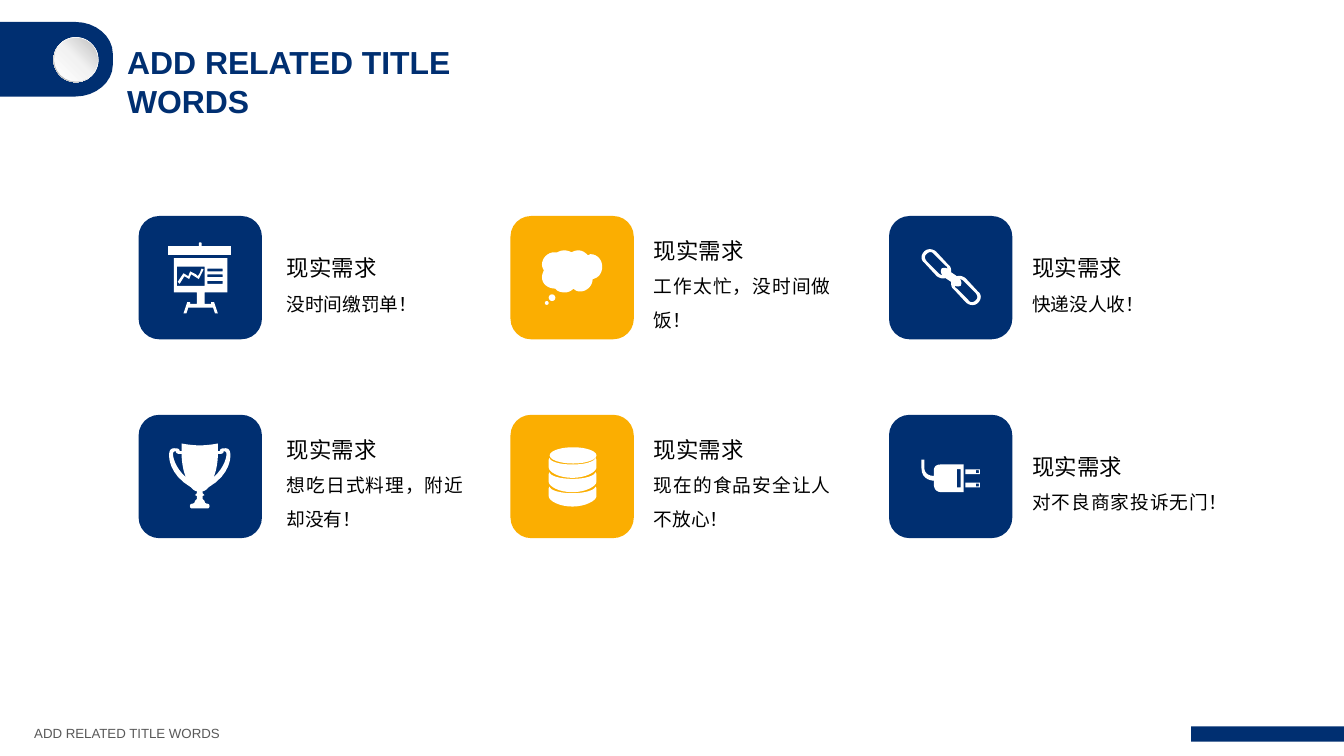
"""Build a slide with six everyday needs, each shown by an icon tile and a short text."""
from copy import deepcopy
from dataclasses import dataclass

from pptx import Presentation
from pptx import util as u
from pptx.dml.color import RGBColor
from pptx.enum import shapes, text
from pptx.oxml.ns import qn


@dataclass(frozen=True)
class Theme:
    navy: str = "002F71"
    amber: str = "FBAE01"
    white: str = "FFFFFF"
    black: str = "000000"
    grey: str = "595959"
    ring: tuple = ((0, "FFFFFF"), (0.55, "F2F2F2"), (1, "A6A6A6"))
    ball: tuple = ((0, "FFFFFF"), (0.51, "F2F2F2"), (1, "BFBFBF"))
    font: str = "Arial"
    title: float = 24
    heading: float = 16.9
    body: float = 14.1
    footer: float = 10


def sampled(outline, steps=8):
    points = []
    for item in outline:
        if len(item) == 2:
            points.append(item)
            continue
        x0, y0 = points[-1]
        x1, y1, x2, y2, x3, y3 = item
        for step in range(1, steps + 1):
            t = step / steps
            s = 1 - t
            weights = s ** 3, 3 * s * s * t, 3 * s * t * t, t ** 3
            points.append((sum(w * x for w, x in zip(weights, (x0, x1, x2, x3))),
                           sum(w * y for w, y in zip(weights, (y0, y1, y2, y3)))))
    return points


def mirrored(outline, axis):
    return [(2 * axis - x, y) for x, y in reversed(sampled(outline))]


def turned(outline, x0, y0):
    return [(2 * x0 - x, 2 * y0 - y) for x, y in sampled(outline)]


def shifted(outline, dy):
    return [(x, y + dy) for x, y in sampled(outline)]


def box(left, top, right, bottom):
    return [(left, top), (right, top), (right, bottom), (left, bottom)]


class SlideBuilder:
    def __init__(self, slide, theme):
        self.slide = slide
        self.theme = theme

    def paint(self, shape, color):
        shape.shadow.inherit = False
        shape.line.fill.background()
        if isinstance(color, str):
            shape.fill.solid()
            shape.fill.fore_color.rgb = RGBColor.from_string(color)
        return shape

    def preset(self, kind, left, top, width, height, color):
        shape = self.slide.shapes.add_shape(kind, *map(u.Inches, (left, top, width, height)))
        return self.paint(shape, color)

    def gradient(self, kind, left, top, size, stops, angle):
        shape = self.preset(kind, left, top, size, size, stops)
        shape.fill.gradient()
        shape.fill.gradient_angle = angle
        stop_list = shape._element.spPr.find(".//" + qn("a:gsLst"))
        stop_list.append(deepcopy(stop_list[0]))
        for stop, (position, color) in zip(shape.fill.gradient_stops, stops):
            stop.position = position
            stop.color.rgb = RGBColor.from_string(color)
        return shape

    def outline(self, color, *contours):
        builder = None
        for contour in contours:
            points = [(u.Inches(x), u.Inches(y)) for x, y in sampled(contour)]
            if builder is None:
                builder = self.slide.shapes.build_freeform(*points[0])
            else:
                builder.move_to(*points[0])
            builder.add_line_segments(points[1:], close=True)
        return self.paint(builder.convert_to_shape(), color)

    def run(self, paragraph, words, size, color, bold=False):
        run = paragraph.add_run()
        run.text = words
        run.font.name = self.theme.font
        run.font.size = u.Pt(size)
        run.font.bold = bold
        run.font.color.rgb = RGBColor.from_string(color)

    def title(self, words, left, top, width, height):
        shape = self.slide.shapes.title
        shape.left, shape.top, shape.width, shape.height = map(u.Inches, (left, top, width, height))
        frame = shape.text_frame
        frame.word_wrap = True
        frame.auto_size = text.MSO_AUTO_SIZE.NONE
        frame.vertical_anchor = text.MSO_ANCHOR.TOP
        frame.paragraphs[0].alignment = text.PP_ALIGN.LEFT
        self.run(frame.paragraphs[0], words, self.theme.title, self.theme.navy, True)

    def text_frame(self, left, top, width, height, wrap):
        shape = self.slide.shapes.add_textbox(*map(u.Inches, (left, top, width, height)))
        frame = shape.text_frame
        frame.word_wrap = wrap
        frame.auto_size = text.MSO_AUTO_SIZE.SHAPE_TO_FIT_TEXT
        return frame

    def need(self, words, left, top, height):
        frame = self.text_frame(left, top, 1.99, height, True)
        frame.margin_left = frame.margin_right = u.Inches(0.07)
        frame.margin_top = frame.margin_bottom = u.Inches(0.04)
        heading, body = frame.paragraphs[0], frame.add_paragraph()
        heading.line_spacing = body.line_spacing = 1.5
        body.alignment = text.PP_ALIGN.JUSTIFY
        self.run(heading, "现实需求", self.theme.heading, self.theme.black)
        self.run(body, words, self.theme.body, self.theme.black)

    def footer(self, words):
        frame = self.text_frame(0.26, 7.54, 2.19, 0.27, False)
        self.run(frame.paragraphs[0], words, self.theme.footer, self.theme.grey)


def draw_icons(page):
    white, oval = page.theme.white, shapes.MSO_SHAPE.OVAL

    page.outline(white, box(1.76, 2.57, 2.42, 2.67))
    page.outline(white, [(2.08, 2.58), (2.08, 2.55), (2.08, 2.53, 2.11, 2.53, 2.11, 2.55), (2.11, 2.58)])
    stand = [(2.1, 2.7), (1.82, 2.7), (1.82, 3.06), (2.06, 3.06), (2.06, 3.18), (1.99, 3.18),
             (1.99, 3.16), (1.96, 3.16), (1.92, 3.28), (1.95, 3.28), (1.97, 3.22), (2.1, 3.22)]
    rows = [box(2.17, top, 2.33, top + 0.03) for top in (2.81, 2.87, 2.94)]
    page.outline(white, stand + mirrored(stand, 2.1), box(1.85, 2.79, 2.14, 2.99), *rows)
    page.outline(white, [(2.09, 2.86), (2.07, 2.89), (2.05, 2.87), (1.99, 2.84), (1.97, 2.89),
                         (1.92, 2.86), (1.86, 2.95), (1.88, 2.97), (1.93, 2.89), (1.98, 2.92),
                         (2, 2.87), (2.08, 2.92), (2.13, 2.82), (2.11, 2.81)])

    page.preset(oval, 5.74, 3.08, 0.07, 0.07, white)
    page.preset(oval, 5.7, 3.15, 0.04, 0.04, white)
    page.outline(white, [
        (6.3, 2.79), (6.3, 2.72, 6.25, 2.66, 6.18, 2.66), (6.17, 2.66, 6.16, 2.67, 6.15, 2.67),
        (6.12, 2.64, 6.09, 2.62, 6.05, 2.62), (6.02, 2.62, 6, 2.63, 5.98, 2.64),
        (5.96, 2.63, 5.93, 2.62, 5.91, 2.62), (5.87, 2.62, 5.85, 2.63, 5.83, 2.64),
        (5.82, 2.64, 5.81, 2.64, 5.8, 2.64), (5.73, 2.64, 5.67, 2.7, 5.67, 2.77),
        (5.67, 2.79, 5.68, 2.81, 5.69, 2.83), (5.68, 2.85, 5.67, 2.88, 5.67, 2.9),
        (5.67, 2.97, 5.73, 3.02, 5.81, 3.02), (5.83, 3.05, 5.87, 3.06, 5.91, 3.06),
        (5.94, 3.06, 5.97, 3.05, 6, 3.02), (6.02, 3.04, 6.04, 3.05, 6.07, 3.05),
        (6.14, 3.05, 6.2, 2.99, 6.2, 2.92), (6.26, 2.91, 6.3, 2.86, 6.3, 2.79)])

    link = [(9.95, 2.85), (9.95, 2.82, 9.95, 2.79, 9.92, 2.77), (9.79, 2.63),
            (9.75, 2.6, 9.7, 2.6, 9.67, 2.63), (9.63, 2.67, 9.63, 2.72, 9.67, 2.75),
            (9.8, 2.89), (9.83, 2.91, 9.86, 2.92, 9.89, 2.91)]
    gap = [(9.82, 2.86), (9.7, 2.74), (9.67, 2.71, 9.67, 2.68, 9.69, 2.66),
           (9.72, 2.63, 9.75, 2.63, 9.77, 2.66), (9.89, 2.78), (9.91, 2.79, 9.91, 2.8, 9.91, 2.81),
           (9.89, 2.8, 9.87, 2.8, 9.85, 2.81), (9.84, 2.83, 9.84, 2.86, 9.86, 2.88),
           (9.85, 2.88, 9.83, 2.87, 9.82, 2.86)]
    center = 9.95, 2.9
    page.outline(white, sampled(link) + turned(link, *center), gap, turned(gap, *center))

    cup = [(2.09, 4.66), (2, 4.66, 1.9, 4.64, 1.9, 4.64), (1.9, 4.72), (1.88, 4.72),
           (1.88, 4.69, 1.85, 4.69, 1.82, 4.69), (1.77, 4.69, 1.77, 4.74, 1.77, 4.77),
           (1.77, 4.77, 1.76, 4.96, 2, 5.1), (2, 5.1, 2.03, 5.14, 2.06, 5.14), (2.06, 5.16),
           (2.04, 5.18), (2.06, 5.19), (2.06, 5.22), (2.04, 5.24), (2.04, 5.27, 2.01, 5.27, 2.01, 5.27),
           (1.98, 5.27, 1.98, 5.32, 2.01, 5.32), (2.09, 5.32)]
    handle = [(1.95, 5), (1.82, 4.88, 1.81, 4.77, 1.81, 4.75), (1.81, 4.72, 1.84, 4.72, 1.84, 4.72),
              (1.84, 4.75, 1.87, 4.75, 1.9, 4.75), (1.9, 4.83, 1.92, 4.95, 1.95, 5)]
    page.outline(white, sampled(cup) + mirrored(cup, 2.09), handle, mirrored(handle, 2.09))

    disk = [(6.23, 4.79), (6.22, 4.83, 6.12, 4.86, 5.99, 4.86), (5.86, 4.86, 5.75, 4.83, 5.75, 4.79),
            (5.74, 4.81), (5.74, 4.89), (5.74, 4.94, 5.85, 5, 5.99, 5),
            (6.12, 5, 6.24, 4.94, 6.24, 4.89), (6.24, 4.81)]
    for level in range(3):
        page.outline(white, shifted(disk, level * 0.15))
    page.preset(oval, 5.75, 4.68, 0.49, 0.17, white)

    page.outline(white, [(9.77, 4.93), (9.77, 4.98), (9.67, 4.98, 9.67, 4.9, 9.67, 4.9), (9.67, 4.81),
                         (9.64, 4.81), (9.64, 4.9), (9.64, 5.03, 9.77, 5.03, 9.77, 5.03), (9.77, 5.06),
                         (9.77, 5.06, 9.76, 5.15, 9.85, 5.15), (10.08, 5.15), (10.08, 4.86),
                         (9.84, 4.86), (9.76, 4.86, 9.77, 4.93, 9.77, 4.93)],
                 box(10.01, 4.91, 10.05, 5.1))
    for top in (4.91, 5.05):
        page.outline(white, box(10.1, top, 10.25, top + 0.05), box(10.21, top + 0.01, 10.24, top + 0.04))


def main():
    presentation = Presentation()
    presentation.slide_width, presentation.slide_height = u.Inches(14.06), u.Inches(7.91)
    theme = Theme()
    page = SlideBuilder(presentation.slides.add_slide(presentation.slide_layouts[5]), theme)
    kinds = shapes.MSO_SHAPE

    columns = ((1.45, 2.93, theme.navy), (5.34, 6.77, theme.amber), (9.3, 10.73, theme.navy))
    short, tall = (0.22, 0.81), (0.04, 1.21)
    rows = (
        (2.26, (("没时间缴罚单！", short), ("工作太忙，没时间做饭！", tall), ("快递没人收！", short))),
        (4.34, (("想吃日式料理，附近却没有！", tall), ("现在的食品安全让人不放心！", tall),
                ("对不良商家投诉无门！", short))),
    )
    for top, needs in rows:
        for (tile_left, text_left, color), (words, (drop, height)) in zip(columns, needs):
            page.preset(kinds.ROUNDED_RECTANGLE, tile_left, top, 1.29, 1.29, color)
            page.need(words, text_left, top + drop, height)
    draw_icons(page)

    page.outline(theme.navy, [(0, 0.23), (0.79, 0.23), (1, 0.23, 1.18, 0.38, 1.18, 0.56), (1.18, 0.68),
                              (1.18, 0.86, 1, 1.01, 0.79, 1.01), (0, 1.01)])
    ring = page.gradient(kinds.DONUT, 0.56, 0.39, 0.47, theme.ring, 225)
    ring.adjustments[0] = 0.05
    page.gradient(kinds.OVAL, 0.57, 0.4, 0.45, theme.ball, 45)
    page.title("ADD RELATED TITLE WORDS", 1.23, 0.4, 4.33, 0.91)
    page.footer("ADD RELATED TITLE WORDS")
    page.preset(kinds.RECTANGLE, 12.46, 7.6, 1.6, 0.16, theme.navy)
    presentation.save("out.pptx")


if __name__ == "__main__":
    main()
